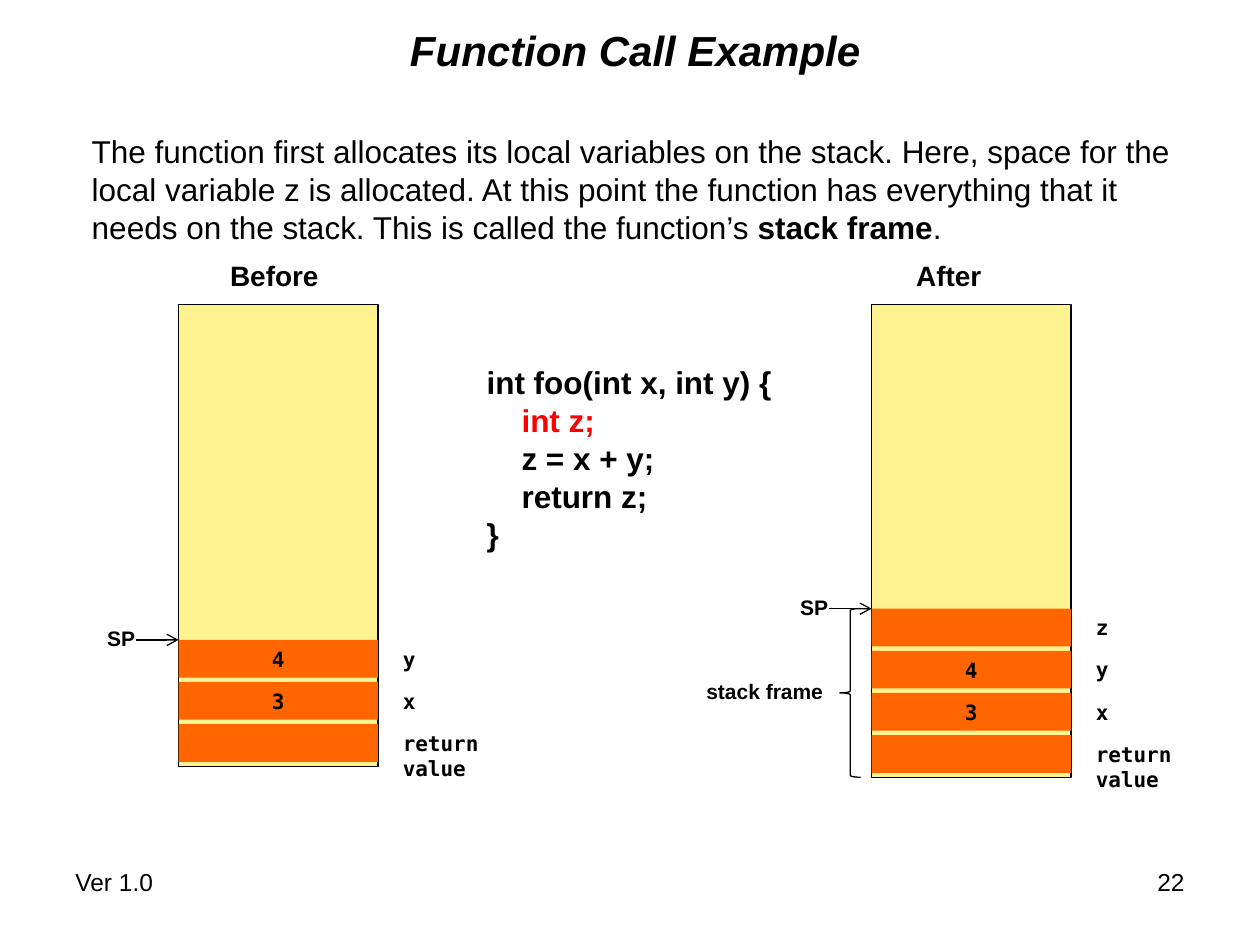
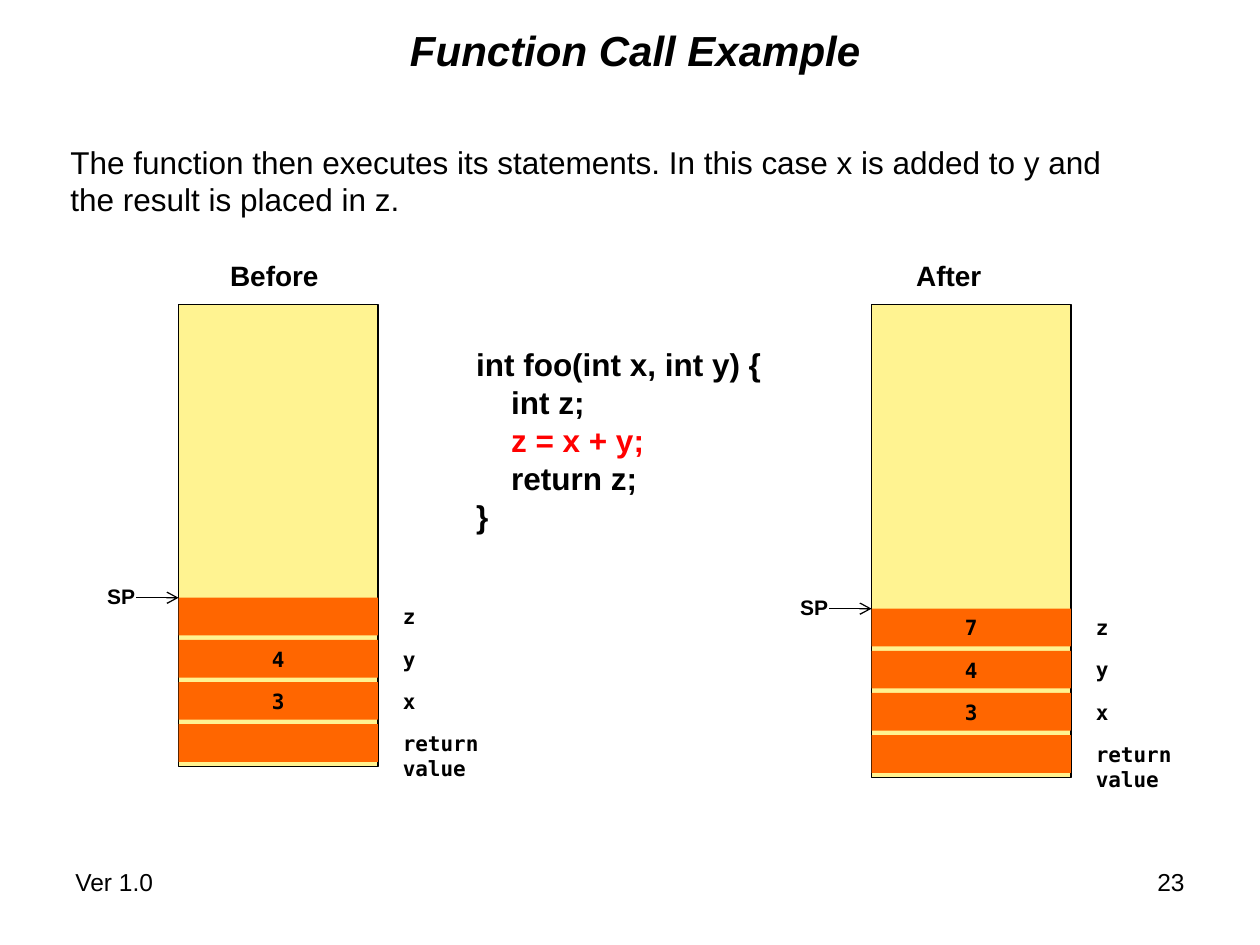
from lxml import etree
from pptx import Presentation
from pptx.dml.color import RGBColor
from pptx.enum.shapes import MSO_CONNECTOR, MSO_SHAPE
from pptx.enum.text import MSO_ANCHOR, MSO_AUTO_SIZE, PP_ALIGN
from pptx.oxml.ns import qn
from pptx.util import Cm, Pt

RECT = MSO_SHAPE.RECTANGLE
BRACE = MSO_SHAPE.LEFT_BRACE
LINE = MSO_CONNECTOR.STRAIGHT
MIDDLE = MSO_ANCHOR.MIDDLE
FIXED = MSO_AUTO_SIZE.NONE
LEFT, MID, RIGHT = PP_ALIGN.LEFT, PP_ALIGN.CENTER, PP_ALIGN.RIGHT

BLACK = RGBColor(0x00, 0x00, 0x00)
RED = RGBColor(0xFF, 0x00, 0x00)
CREAM = RGBColor(0xFF, 0xF3, 0x91)
ORANGE = RGBColor(0xFF, 0x66, 0x00)
SANS, MONO = "Arial", "DejaVu Sans Mono"

TOP, WIDE, HIGH, PITCH = 6.14, 4.02, 0.76, 0.85
NAMES = ["return value", "x", "y", "z"]
CODE = "int foo(int x, int y) {\n    int z;\n    z = x + y;\n    return z;\n}"


def write(shape, text, size=12, font=SANS, bold=False, italic=False,
          align=LEFT, wrap=False, mark=None, hue=BLACK):
    frame = shape.text_frame
    frame.word_wrap = wrap
    for num, line in enumerate(text.split("\n")):
        para = frame.paragraphs[0] if num == 0 else frame.add_paragraph()
        para.alignment = align
        parts = line.partition(mark) if mark else [line]
        for part in filter(None, parts):
            run = para.add_run()
            run.text = part
            run.font.name = font
            run.font.size = Pt(size)
            run.font.bold = bold or part == mark
            run.font.italic = italic
            run.font.color.rgb = hue if part == mark else BLACK


def put(page, x, y, w, h, kind=None, fill=None, line=None):
    area = Cm(x), Cm(y), Cm(w), Cm(h)
    if kind is None:
        return page.shapes.add_textbox(*area)
    shape = page.shapes.add_shape(kind, *area)
    shape.shadow.inherit = False
    if fill is None:
        shape.fill.background()
    else:
        shape.fill.solid()
        shape.fill.fore_color.rgb = fill
    if line is None:
        shape.line.fill.background()
    else:
        shape.line.color.rgb = line
        shape.line.width = Pt(0.75)
    return shape


deck = Presentation()
deck.slide_width, deck.slide_height = Cm(25.4), Cm(19.05)

PAGES = [
    dict(num="22", at=(1.6, 2.54, 22.25, 2.54), mark="stack frame",
         text="The function first allocates its local variables on the stack. Here, space for the\n"
              "local variable z is allocated. At this point the function has everything that it\n"
              "needs on the stack. This is called the function’s stack frame.",
         code=(9.56, 7.2), step="    int z;",
         old=["", "3", "4"], new=["", "3", "4", ""]),
    dict(num="23", at=(1.17, 2.75, 21.29, 1.78), mark=None,
         text="The function then executes its statements. In this case x is added to y and\n"
              "the result is placed in z.",
         code=(9.35, 6.84), step="    z = x + y;",
         old=["", "3", "4", ""], new=["", "3", "4", "7"]),
]

for data in PAGES:
    page = deck.slides.add_slide(deck.slide_layouts[5])
    title = page.shapes.title
    title.left, title.top, title.width, title.height = Cm(2.54), Cm(0.43), Cm(20.53), Cm(1.15)
    frame = title.text_frame
    frame.auto_size = FIXED
    frame.vertical_anchor = MIDDLE
    frame.margin_top = frame.margin_bottom = 0
    write(title, "Function Call Example", size=24, bold=True, italic=True, align=MID, wrap=True)

    write(put(page, 1.27, 17.35, 5.92, 1.32), "Ver 1.0", size=14, wrap=True)
    write(put(page, 18.21, 17.35, 5.92, 1.32), data["num"], size=14, align=RIGHT, wrap=True)
    write(put(page, *data["at"]), data["text"], size=18, mark=data["mark"])
    write(put(page, *data["code"], 6.4, 4.06), CODE, size=18, bold=True,
          mark=data["step"], hue=RED)

    for head, spot, x, base, cells in [
        ("Before", 4.39, 3.6, 15.45, data["old"]),
        ("After", 18.22, 17.57, 15.67, data["new"]),
    ]:
        write(put(page, spot, 5.08, 2.6, 0.94), head, size=16, bold=True, wrap=True)
        put(page, x, TOP, WIDE, base - TOP, RECT, CREAM, BLACK)
        for row, (name, cell) in enumerate(zip(NAMES, cells), 1):
            y = base - PITCH * row
            slot = put(page, x, y, WIDE, HIGH, RECT, ORANGE)
            if cell:
                write(slot, cell, font=MONO, bold=True, align=MID)
            long = len(name) > 1
            write(put(page, x + WIDE + 0.25, y, 3.15 if long else 0.8, HIGH),
                  name, font=MONO, bold=True, wrap=long)

        write(put(page, x - 1.69, y - 0.41, 1.15, HIGH), "SP", bold=True)
        arrow = page.shapes.add_connector(LINE, Cm(x - 0.85), Cm(y), Cm(x), Cm(y))
        arrow.line.color.rgb = BLACK
        arrow.line.width = Pt(0.75)
        etree.SubElement(arrow.line._get_or_add_ln(), qn("a:tailEnd"), type="arrow")
        etree.SubElement(arrow._element.spPr, qn("a:effectLst"))

    if data["mark"]:
        put(page, 16.93, y, 0.42, PITCH * 4, BRACE, line=BLACK)
        write(put(page, 13.99, 13.55, 3.2, HIGH), data["mark"], bold=True, wrap=True)

deck.save("out.pptx")
